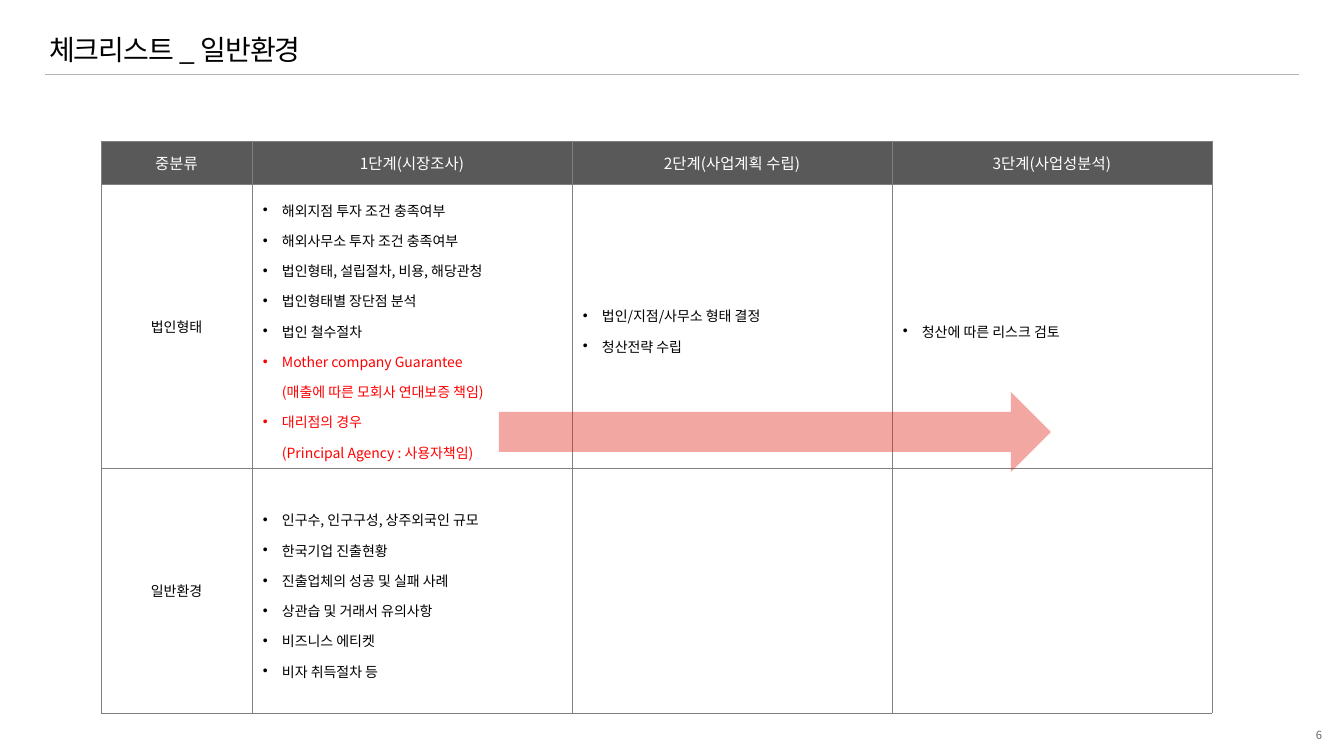
"""Build the general environment checklist slide."""
from lxml.etree import SubElement
from pptx import Presentation
from pptx.dml.color import RGBColor
from pptx.enum.shapes import MSO_CONNECTOR, MSO_SHAPE
from pptx.enum.text import MSO_ANCHOR, MSO_AUTO_SIZE, PP_ALIGN
from pptx.oxml.ns import qn
from pptx.util import Emu, Pt

TITLE = "체크리스트 _ 일반환경"
PAGE_NUMBER = "6"
HEADERS = ["중분류", "1단계(시장조사)", "2단계(사업계획 수립)", "3단계(사업성분석)"]
ROWS = [
    ("법인형태", [
        [("해외지점 투자 조건 충족여부", "item"),
         ("해외사무소 투자 조건 충족여부", "item"),
         ("법인형태, 설립절차, 비용, 해당관청", "item"),
         ("법인형태별 장단점 분석", "item"),
         ("법인 철수절차", "item"),
         ("Mother company Guarantee", "risk"),
         ("(매출에 따른 모회사 연대보증 책임)", "risk detail"),
         ("대리점의 경우", "risk"),
         ("(Principal Agency : 사용자책임)", "risk detail")],
        [("법인/지점/사무소 형태 결정", "item"), ("청산전략 수립", "item")],
        [("청산에 따른 리스크 검토", "item")],
    ]),
    ("일반환경", [
        [("인구수, 인구구성, 상주외국인 규모", "item"),
         ("한국기업 진출현황", "item"),
         ("진출업체의 성공 및 실패 사례", "item"),
         ("상관습 및 거래서 유의사항", "item"),
         ("비즈니스 에티켓", "item"),
         ("비자 취득절차 등", "item")],
        [],
        [],
    ]),
]
STYLES = {
    "header": {"size": 11, "color": "FFFFFF", "align": PP_ALIGN.CENTER},
    "category": {"size": 10, "color": "000000", "align": PP_ALIGN.CENTER},
    "item": {"size": 10, "color": "000000", "bullet": True, "indent": 19, "spacing": 1.5},
    "risk": {"size": 10, "color": "FF0000", "bullet": True, "indent": 19, "spacing": 1.5},
    "risk detail": {"size": 10, "color": "FF0000", "indent": 19, "spacing": 1.5},
    "title": {"size": 20, "color": "000000", "align": PP_ALIGN.LEFT, "spacing": 0.9,
              "tracking": -70},
    "page": {"size": 8, "color": "636569", "align": PP_ALIGN.RIGHT},
}
FONT = "Noto Sans CJK KR"
COLUMN_WIDTHS = [151, 320, 320, 320]
ROW_HEIGHTS = [43, 284, 245]
TABLE_LEFT, TABLE_TOP = 101, 141


def px(length):
    return Emu(round(length * 914400 / 100.8))


def rgb(value):
    return RGBColor.from_string(value)


def apply(target, values):
    for name, value in values.items():
        setattr(target, name, value)


def write_lines(frame, lines):
    for index, (text, style_name) in enumerate(lines):
        style = STYLES[style_name]
        paragraph = frame.add_paragraph() if index else frame.paragraphs[0]
        apply(paragraph, {"alignment": style.get("align", PP_ALIGN.LEFT),
                          "line_spacing": style.get("spacing", 1.0)})
        properties = paragraph._p.get_or_add_pPr()
        if "indent" in style:
            properties.set("marL", str(px(style["indent"])))
        if style.get("bullet"):
            properties.set("indent", str(-px(style["indent"])))
            SubElement(properties, qn("a:buFont"), typeface="Arial")
            SubElement(properties, qn("a:buChar"), char="•")
        run = paragraph.add_run()
        run.text = text
        apply(run.font, {"name": FONT, "size": Pt(style["size"])})
        run.font.color.rgb = rgb(style["color"])
        run_properties = run._r.get_or_add_rPr()
        SubElement(run_properties, qn("a:ea"), typeface=FONT)
        if "tracking" in style:
            run_properties.set("spc", str(style["tracking"]))


def format_cell(cell, lines, fill=None):
    apply(cell, {"vertical_anchor": MSO_ANCHOR.MIDDLE, "margin_left": px(11),
                 "margin_right": px(11), "margin_top": px(6), "margin_bottom": px(6)})
    write_lines(cell.text_frame, lines)
    properties = cell._tc.get_or_add_tcPr()
    for side in ("lnL", "lnR", "lnT", "lnB"):
        border = SubElement(properties, qn(f"a:{side}"), w=str(Pt(0.5)))
        solid = SubElement(border, qn("a:solidFill"))
        SubElement(solid, qn("a:srgbClr"), val="808080")
    if fill:
        cell.fill.solid()
        cell.fill.fore_color.rgb = rgb(fill)
    else:
        cell.fill.background()


def add_frame(slide):
    rule = slide.shapes.add_connector(MSO_CONNECTOR.STRAIGHT, px(45), px(74), px(1299), px(74))
    rule.line.width = Pt(0.5)
    rule.line.color.rgb = rgb("B4B4B5")
    SubElement(rule._element.spPr, qn("a:effectLst"))
    page = slide.shapes.add_textbox(px(1308), px(728), px(14), px(13))
    apply(page.text_frame, {"margin_left": 0, "margin_right": 0, "margin_top": 0,
                            "margin_bottom": 0, "word_wrap": False})
    write_lines(page.text_frame, [(PAGE_NUMBER, "page")])
    title = slide.shapes.title
    apply(title, {"left": px(49), "top": px(32), "width": px(937), "height": px(39)})
    apply(title.text_frame, {"margin_left": 0, "margin_right": 0, "margin_top": px(5),
                             "margin_bottom": px(5), "word_wrap": True,
                             "vertical_anchor": MSO_ANCHOR.MIDDLE,
                             "auto_size": MSO_AUTO_SIZE.NONE})
    write_lines(title.text_frame, [(TITLE, "title")])


def add_checklist(slide):
    table = slide.shapes.add_table(
        len(ROW_HEIGHTS), len(COLUMN_WIDTHS), px(TABLE_LEFT), px(TABLE_TOP),
        px(sum(COLUMN_WIDTHS)), px(sum(ROW_HEIGHTS))).table
    apply(table, {"first_row": False, "horz_banding": False})
    for column, width in zip(table.columns, COLUMN_WIDTHS):
        column.width = px(width)
    for row, height in zip(table.rows, ROW_HEIGHTS):
        row.height = px(height)
    for column, header in enumerate(HEADERS):
        format_cell(table.cell(0, column), [(header, "header")], "595959")
    for row, (category, stages) in enumerate(ROWS, 1):
        for column, lines in enumerate([[(category, "category")], *stages]):
            format_cell(table.cell(row, column), lines)


def add_arrow(slide):
    arrow = slide.shapes.add_shape(MSO_SHAPE.RIGHT_ARROW, px(499), px(392), px(552), px(80))
    arrow.shadow.inherit = False
    arrow.line.fill.background()
    arrow.fill.solid()
    arrow.fill.fore_color.rgb = rgb("E1251B")
    color = arrow._element.spPr.find(qn("a:solidFill")).find(qn("a:srgbClr"))
    SubElement(color, qn("a:alpha"), val="40000")


def main():
    presentation = Presentation()
    apply(presentation, {"slide_width": px(1344), "slide_height": px(756)})
    slide = presentation.slides.add_slide(presentation.slide_layouts[5])
    add_frame(slide)
    add_checklist(slide)
    add_arrow(slide)
    presentation.save("out.pptx")


if __name__ == "__main__":
    main()
